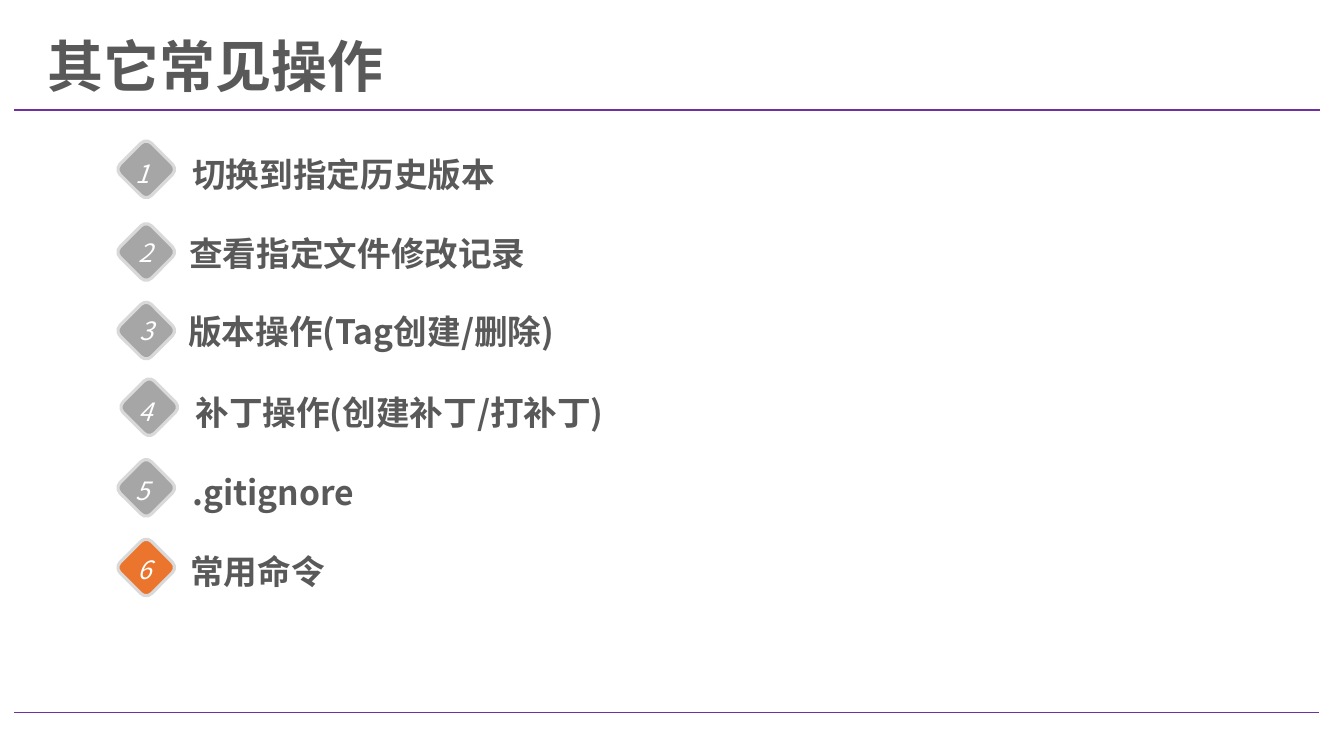
from dataclasses import dataclass

from pptx import Presentation
from pptx.dml.color import RGBColor
from pptx.enum.shapes import MSO_CONNECTOR, MSO_SHAPE
from pptx.enum.text import MSO_ANCHOR, MSO_AUTO_SIZE, PP_ALIGN
from pptx.oxml.ns import qn
from pptx.shapes.group import GroupShape
from pptx.slide import Slide
from pptx.text.text import TextFrame
from pptx.util import Pt
from lxml.etree import SubElement

PX = 9144  # 100 px to the inch
FONT = "Noto Sans CJK SC"
DARK_GRAY = RGBColor(0x59, 0x59, 0x59)
MID_GRAY = RGBColor(0xA6, 0xA6, 0xA6)
LIGHT_GRAY = RGBColor(0xD9, 0xD9, 0xD9)
ORANGE = RGBColor(0xEC, 0x75, 0x2D)
PURPLE = RGBColor(0x70, 0x30, 0xA0)
WHITE = RGBColor(0xFF, 0xFF, 0xFF)

BADGE_SIZE = 44
LINE_HEIGHT = 50
NUMBER_HEIGHT = 40


@dataclass(frozen=True)
class Topic:
    label: str
    label_left: int
    label_top: int
    label_width: int
    badge_left: int
    badge_top: int
    number_left: int
    number_top: int
    number_width: int = 35
    badge_color: RGBColor = MID_GRAY


@dataclass(frozen=True)
class Rule:
    left: int
    right: int
    y: int


TOPICS = [
    Topic("切换到指定历史版本", 181, 148, 558, 123, 146, 124, 152),
    Topic("查看指定文件修改记录", 178, 226, 499, 123, 228, 127, 231),
    Topic("版本操作(Tag创建/删除)", 177, 304, 487, 123, 306, 129, 308, 33),
    Topic("补丁操作(创建补丁/打补丁)", 184, 384, 467, 126, 382, 123, 388, 43),
    Topic(".gitignore", 181, 463, 467, 123, 462, 124, 467),
    Topic("常用命令", 179, 542, 564, 123, 541, 126, 545, badge_color=ORANGE),
]
RULES = [Rule(14, 1309, 109), Rule(14, 1308, 707)]


def format_text(frame: TextFrame, size: int, color: RGBColor,
                bold: bool = False, italic: bool = False) -> None:
    for run in frame.paragraphs[0].runs:
        font = run.font
        font.name, font.size = FONT, Pt(size)
        font.bold, font.italic = bold, italic
        font.color.rgb = color
        SubElement(run._r.get_or_add_rPr(), qn("a:ea"), typeface=FONT)


def add_text(group: GroupShape, text: str, left: int, top: int,
             width: int, height: int, wrap: bool) -> TextFrame:
    box = group.shapes.add_textbox(left * PX, top * PX, width * PX, height * PX)
    frame = box.text_frame
    frame.word_wrap = wrap
    frame.auto_size = MSO_AUTO_SIZE.SHAPE_TO_FIT_TEXT
    frame.text = text
    return frame


def add_topic(slide: Slide, number: int, topic: Topic) -> None:
    group = slide.shapes.add_group_shape()
    label = add_text(group, topic.label, topic.label_left, topic.label_top,
                     topic.label_width, LINE_HEIGHT, wrap=True)
    format_text(label, 24, DARK_GRAY, bold=True)

    badge = group.shapes.add_shape(
        MSO_SHAPE.ROUNDED_RECTANGLE, topic.badge_left * PX, topic.badge_top * PX,
        BADGE_SIZE * PX, BADGE_SIZE * PX)
    badge.rotation = 45
    badge.shadow.inherit = False
    badge.fill.solid()
    badge.fill.fore_color.rgb = topic.badge_color
    badge.line.color.rgb = LIGHT_GRAY
    badge.line.width = Pt(2.25)

    numeral = add_text(group, str(number), topic.number_left, topic.number_top,
                       topic.number_width, NUMBER_HEIGHT, wrap=False)
    numeral.paragraphs[0].alignment = PP_ALIGN.CENTER
    format_text(numeral, 18, WHITE, italic=True)


def add_rule(slide: Slide, rule: Rule) -> None:
    connector = slide.shapes.add_connector(
        MSO_CONNECTOR.STRAIGHT, rule.left * PX, rule.y * PX,
        rule.right * PX, rule.y * PX)
    connector.line.color.rgb = PURPLE
    connector.line.width = Pt(1)
    SubElement(connector._element.spPr, qn("a:effectLst"))


def set_title(slide: Slide, text: str) -> None:
    title = slide.shapes.title
    title.left, title.top = 37 * PX, 35 * PX
    title.width, title.height = 1128 * PX, 67 * PX
    frame = title.text_frame
    frame.text = text
    frame.word_wrap = True
    frame.auto_size = MSO_AUTO_SIZE.NONE
    frame.vertical_anchor = MSO_ANCHOR.MIDDLE
    heading = frame.paragraphs[0]
    heading.alignment = PP_ALIGN.LEFT
    heading.line_spacing = 0.9
    heading.space_before = Pt(10)
    format_text(frame, 40, DARK_GRAY, bold=True)


def main() -> None:
    deck = Presentation()
    deck.slide_width, deck.slide_height = 1333 * PX, 750 * PX
    slide = deck.slides.add_slide(deck.slide_layouts.get_by_name("Title Only"))
    for rule in RULES:
        add_rule(slide, rule)
    set_title(slide, "其它常见操作")
    for number, topic in enumerate(TOPICS, start=1):
        add_topic(slide, number, topic)
    deck.save("out.pptx")


if __name__ == "__main__":
    main()
